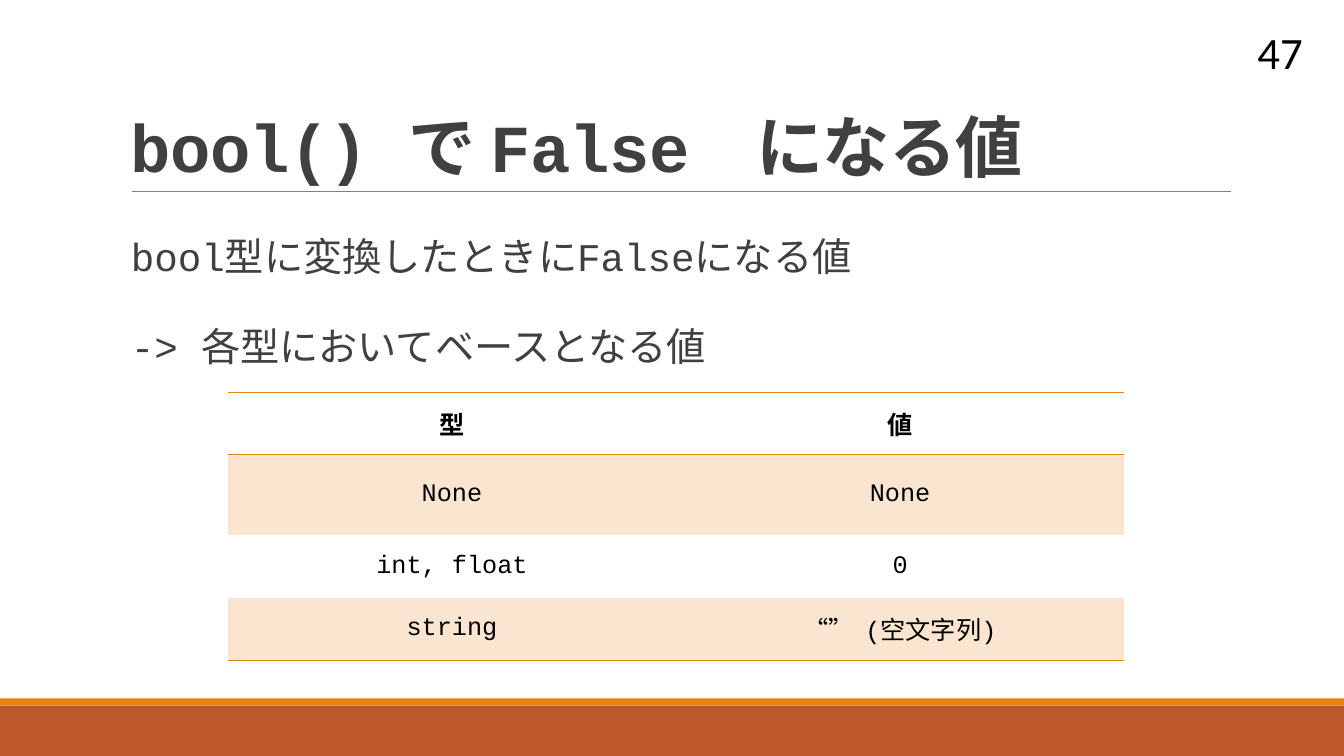
from lxml import etree
from pptx import Presentation
from pptx.dml.color import RGBColor
from pptx.enum import shapes, text
from pptx.oxml import ns
from pptx.util import Inches, Pt

HUES = {"rust": "BD582C", "amber": "E48312", "band": "FAE6D0",
        "rule": "808080", "ink": "404040", "black": "000000"}
PLAIN = "{2D5ABB26-0587-4C30-8999-92F81FD0307C}"
ROWS = [("型", "値"), ("None", "None"), ("int, float", "0"),
        ("string", "“”  (空文字列)")]
HEIGHTS = [0.62, 0.8, 0.62, 0.62]
CODE = {"name": "Courier New"}


def color(key):
    return RGBColor.from_string(HUES[key])


def apply(item, form):
    for key, value in form.items():
        setattr(item, key, value)


def write(par, words, hue, font, form):
    run = par.add_run()
    run.text = words
    apply(run.font, font)
    run.font.color.rgb = color(hue)
    apply(par, form)
    return run


def add_text(slide, box, lines, hue, font, form, anchor):
    frame = slide.shapes.add_textbox(*map(Inches, box)).text_frame
    apply(frame, {"word_wrap": True, "vertical_anchor": anchor})
    runs = []
    for i, line in enumerate(lines):
        par = frame.add_paragraph() if i else frame.paragraphs[0]
        runs.append(write(par, line, hue, font, form))
    return runs


def add_bar(slide, box, hue):
    bar = slide.shapes.add_shape(shapes.MSO_SHAPE.RECTANGLE, *map(Inches, box))
    bar.shadow.inherit = False
    bar.fill.solid()
    bar.fill.fore_color.rgb = color(hue)
    bar.line.fill.background()


def add_footer(slide, left, top, width, height):
    edge = 0.07
    add_bar(slide, (left, top + edge, width, height - edge), "rust")
    add_bar(slide, (left, top, width, edge), "amber")


def add_title(slide, left, top, width, height):
    base = top + height
    rule = slide.shapes.add_connector(
        shapes.MSO_CONNECTOR.STRAIGHT,
        *map(Inches, (left + 0.11, base, left + width + 0.01, base)))
    rule.line.color.rgb = color("rule")
    rule.line.width = Pt(0.5)
    etree.SubElement(rule._element.spPr, ns.qn("a:effectLst"))
    runs = add_text(slide, (left, top, width, height),
                    ["bool() で False　になる値"], "ink",
                    {**CODE, "size": Pt(48), "bold": True},
                    {"line_spacing": 0.85}, text.MSO_ANCHOR.BOTTOM)
    runs[0].font._element.set("spc", "-50")


def add_body(slide, *box):
    add_text(slide, box,
             ["bool型に変換したときにFalseになる値", "-> 各型においてベースとなる値"],
             "ink", {**CODE, "size": Pt(28)},
             {"line_spacing": 1.5, "space_before": Pt(12), "space_after": Pt(2)},
             text.MSO_ANCHOR.TOP)


def add_edge(cell, side):
    """Draw an amber line on one side of the cell: T or B."""
    props = cell._tc.get_or_add_tcPr()
    line = etree.SubElement(props, ns.qn(f"a:ln{side}"), w=str(Pt(1)))
    fill = etree.SubElement(line, ns.qn("a:solidFill"))
    etree.SubElement(fill, ns.qn("a:srgbClr"), val=HUES["amber"])


def add_grid(slide, left, top, width):
    frame = slide.shapes.add_table(
        len(ROWS), 2, *map(Inches, (left, top, width, sum(HEIGHTS))))
    table = frame.table
    table._tbl.tblPr.find(ns.qn("a:tableStyleId")).text = PLAIN
    for r, (row, height) in enumerate(zip(ROWS, HEIGHTS)):
        table.rows[r].height = Inches(height)
        for c, words in enumerate(row):
            cell = table.cell(r, c)
            cell.vertical_anchor = text.MSO_ANCHOR.MIDDLE
            write(cell.text_frame.paragraphs[0], words, "black",
                  {**CODE, "size": Pt(18), "bold": r == 0},
                  {"alignment": text.PP_ALIGN.CENTER})
            if r == 0:
                add_edge(cell, "T")
            if r in (0, len(ROWS) - 1):
                add_edge(cell, "B")
            if r % 2:
                cell.fill.solid()
                cell.fill.fore_color.rgb = color("band")
            else:
                cell.fill.background()


def add_number(slide, *box):
    add_text(slide, box, ["47"], "black", {"name": "Calibri", "size": Pt(32)},
             {"alignment": text.PP_ALIGN.RIGHT}, text.MSO_ANCHOR.MIDDLE)


def main():
    deck = Presentation()
    deck.slide_width, deck.slide_height = Inches(13.33), Inches(7.5)
    slide = deck.slides.add_slide(deck.slide_layouts[6])
    add_footer(slide, 0, 6.93, 13.33, 0.57)
    add_title(slide, 1.2, 0.31, 11, 1.59)
    add_body(slide, 1.2, 2.02, 11, 4.4)
    add_grid(slide, 2.26, 3.89, 8.89)
    add_number(slide, 11.59, 0.31, 1.43, 0.4)
    deck.save("out.pptx")


if __name__ == "__main__":
    main()
